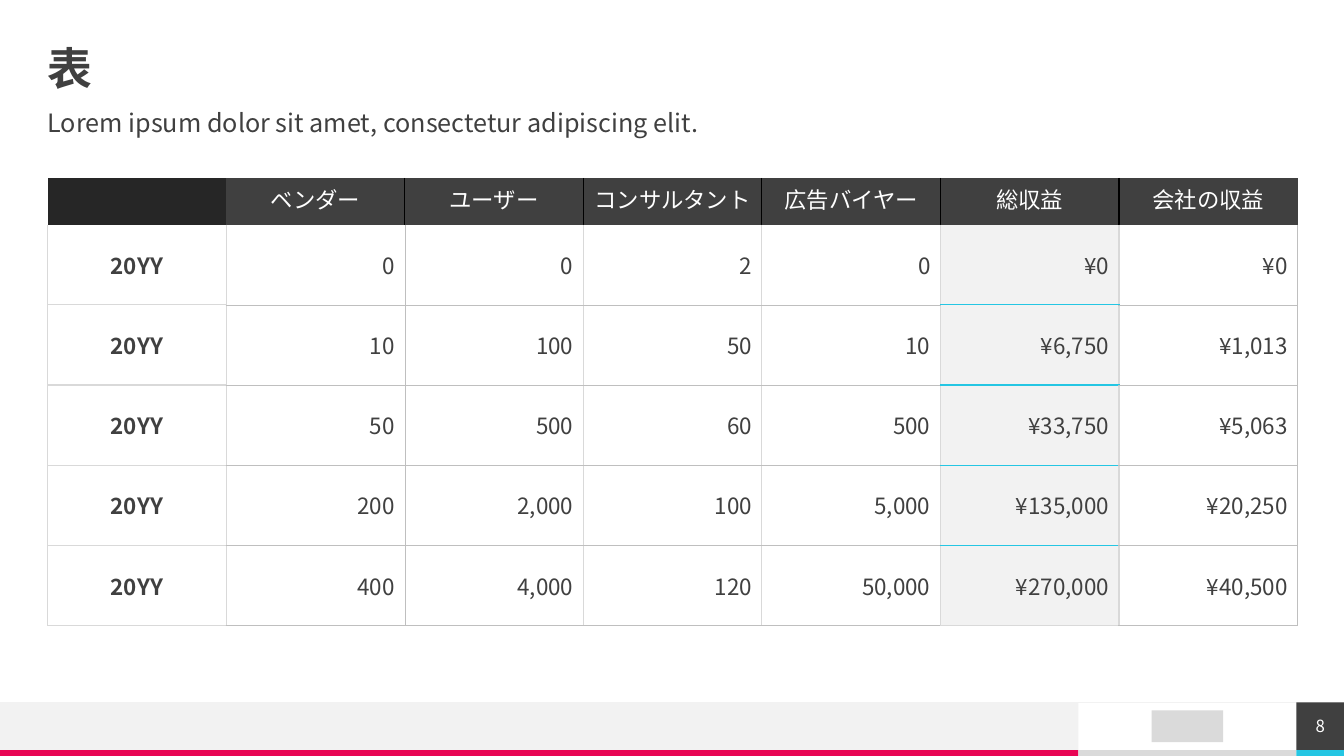
import lxml.etree
import pptx
import pptx.dml.color
import pptx.enum.shapes
import pptx.enum.text
import pptx.oxml.ns
import pptx.util

Cm, Pt = pptx.util.Cm, pptx.util.Pt
RGBColor = pptx.dml.color.RGBColor
ALIGN, ANCHOR = pptx.enum.text.PP_ALIGN, pptx.enum.text.MSO_ANCHOR
qn = pptx.oxml.ns.qn

FONT = "Noto Sans CJK JP"
WHITE = RGBColor(0xFF, 0xFF, 0xFF)
BLACK = RGBColor(0, 0, 0)
DARK = RGBColor(0x40, 0x40, 0x40)
DARKER = RGBColor(0x26, 0x26, 0x26)
PALE = RGBColor(0xF2, 0xF2, 0xF2)
LIGHT = RGBColor(0xDA, 0xDA, 0xDA)
GRID = RGBColor(0xD9, 0xD9, 0xD9)
HAIR = RGBColor(0xBF, 0xBF, 0xBF)
CYAN = RGBColor(0x25, 0xC6, 0xE3)
PINK = RGBColor(0xE8, 0x05, 0x54)

GRID_LINE, HAIR_LINE, CYAN_LINE, BLACK_LINE = (GRID, 1), (HAIR, 0.25), (CYAN, 1), (BLACK, 1)

SLIDE_WIDTH, SLIDE_HEIGHT = Cm(33.87), Cm(19.05)
MARGIN, CONTENT_WIDTH = Cm(1.2), Cm(31.5)

HEADINGS = ["", "ベンダー", "ユーザー", "コンサルタント", "広告バイヤー", "総収益", "会社の収益"]
ROWS = [
    ["20YY", "0", "0", "2", "0", "¥0", "¥0"],
    ["20YY", "10", "100", "50", "10", "¥6,750", "¥1,013"],
    ["20YY", "50", "500", "60", "500", "¥33,750", "¥5,063"],
    ["20YY", "200", "2,000", "100", "5,000", "¥135,000", "¥20,250"],
    ["20YY", "400", "4,000", "120", "50,000", "¥270,000", "¥40,500"],
]
TOTAL_COLUMN = HEADINGS.index("総収益")


def write(paragraph, text, size=16, color=DARK, bold=False, spacing=0,
          align=ALIGN.LEFT, line_spacing=None, space_before=None):
    """Append a formatted run; spacing is between letters, in points."""
    paragraph.alignment = align
    paragraph.line_spacing = line_spacing
    paragraph.space_before = space_before
    run = paragraph.add_run()
    run.text = text
    run.font.name, run.font.size, run.font.bold = FONT, Pt(size), bold
    run.font.color.rgb = color
    properties = run.font._element
    lxml.etree.SubElement(properties, qn("a:ea"), typeface=FONT)
    if spacing:
        properties.set("spc", str(round(spacing * 100)))


def prepare_frame(shape, anchor):
    """Wrap the text, remove the insets and return the first paragraph."""
    frame = shape.text_frame
    frame.word_wrap = True
    frame.vertical_anchor = anchor
    frame.margin_top = frame.margin_bottom = 0
    frame.margin_left = frame.margin_right = 0
    return frame.paragraphs[0]


def add_block(slide, left, top, width, height, color):
    block = slide.shapes.add_shape(
        pptx.enum.shapes.MSO_SHAPE.RECTANGLE, left, top, width, height)
    block.shadow.inherit = False
    block.fill.solid()
    block.fill.fore_color.rgb = color
    block.line.fill.background()
    return block


def set_borders(cell, left, right, top, bottom):
    """Give each edge as (color, points), or None for no line."""
    properties = cell._tc.get_or_add_tcPr()
    edges = {"a:lnL": left, "a:lnR": right, "a:lnT": top, "a:lnB": bottom}
    for position, (tag, edge) in enumerate(edges.items()):
        line = lxml.etree.Element(qn(tag))
        if edge:
            color, points = edge
            line.set("w", str(int(Pt(points))))
            fill = lxml.etree.SubElement(line, qn("a:solidFill"))
            lxml.etree.SubElement(fill, qn("a:srgbClr"), val=str(color))
        else:
            lxml.etree.SubElement(line, qn("a:noFill"))
        properties.insert(position, line)


def vertical_edge(row, edge):
    """Return the line at a column edge, counted from the left."""
    if row == 0:
        return BLACK_LINE if 2 <= edge < len(HEADINGS) else None
    return HAIR_LINE if edge in (2, len(HEADINGS)) else GRID_LINE


def horizontal_edge(column, edge):
    """Return the line at a row edge, counted from the top."""
    if edge < 2:
        return None
    if column == TOTAL_COLUMN:
        return CYAN_LINE if edge <= len(ROWS) else GRID_LINE
    return GRID_LINE if column == 0 else HAIR_LINE


def cell_fill(row, column):
    if row == 0:
        return DARKER if column == 0 else DARK
    return PALE if column == TOTAL_COLUMN else WHITE


def add_heading(slide, left, top, width):
    title = slide.shapes.add_textbox(left, top, width, Cm(1.19))
    write(prepare_frame(title, ANCHOR.MIDDLE), "表", size=32, bold=True,
          spacing=-1.5, line_spacing=0.9)
    subtitle = slide.shapes.add_textbox(left, top + Cm(1.6), width, Cm(1))
    write(prepare_frame(subtitle, ANCHOR.TOP),
          "Lorem ipsum dolor sit amet, consectetur adipiscing elit.",
          size=18, line_spacing=0.9, space_before=Pt(10))


def add_revenue_table(slide, left, top, width, header_height, row_height):
    height = header_height + row_height * len(ROWS)
    table = slide.shapes.add_table(
        len(ROWS) + 1, len(HEADINGS), left, top, width, height).table
    table.first_row = table.horz_banding = False
    for column in table.columns:
        column.width = width // len(HEADINGS)
    for row, values in enumerate([HEADINGS, *ROWS]):
        table.rows[row].height = row_height if row else header_height
        for column, value in enumerate(values):
            cell = table.cell(row, column)
            cell.fill.solid()
            cell.fill.fore_color.rgb = cell_fill(row, column)
            cell.vertical_anchor = ANCHOR.MIDDLE if row else ANCHOR.TOP
            set_borders(cell, vertical_edge(row, column), vertical_edge(row, column + 1),
                        horizontal_edge(column, row), horizontal_edge(column, row + 1))
            if value:
                write(cell.text_frame.paragraphs[0], value,
                      color=DARK if row else WHITE, bold=row > 0 and column == 0,
                      align=ALIGN.RIGHT if row and column else ALIGN.CENTER)


def add_footer(slide, top, width, height):
    strip_height, number_width, panel_left = Cm(0.15), Cm(1.2), Cm(27.18)
    band_height = height - strip_height
    strip_top = top + band_height
    number_left = width - number_width
    add_block(slide, 0, top, panel_left, band_height, PALE)
    for left, right, color in [(0, panel_left, PINK), (panel_left, number_left, LIGHT),
                               (number_left, width, CYAN)]:
        add_block(slide, left, strip_top, right - left, strip_height, color)

    rule = slide.shapes.add_connector(
        pptx.enum.shapes.MSO_CONNECTOR.STRAIGHT, width, top, 0, top)
    rule.line.color.rgb, rule.line.width = PALE, Pt(0.5)
    lxml.etree.SubElement(rule._element.spPr, qn("a:effectLst"))

    block_width, block_height = Cm(1.8), Cm(0.8)
    add_block(slide, (panel_left + number_left - block_width) // 2,
              top + (band_height - block_height) // 2, block_width, block_height, LIGHT)

    number = add_block(slide, number_left, top, number_width, band_height, DARK)
    write(prepare_frame(number, ANCHOR.MIDDLE), "8", size=12, color=WHITE,
          align=ALIGN.CENTER)


def main():
    presentation = pptx.Presentation()
    presentation.slide_width, presentation.slide_height = SLIDE_WIDTH, SLIDE_HEIGHT
    slide = presentation.slides.add_slide(presentation.slide_layouts[6])
    footer_height = Cm(1.35)
    add_footer(slide, SLIDE_HEIGHT - footer_height, SLIDE_WIDTH, footer_height)
    add_heading(slide, MARGIN, Cm(1.19), CONTENT_WIDTH)
    add_revenue_table(slide, MARGIN, Cm(4.48), CONTENT_WIDTH, Cm(1.18), Cm(2.02))
    presentation.save("out.pptx")


if __name__ == "__main__":
    main()
